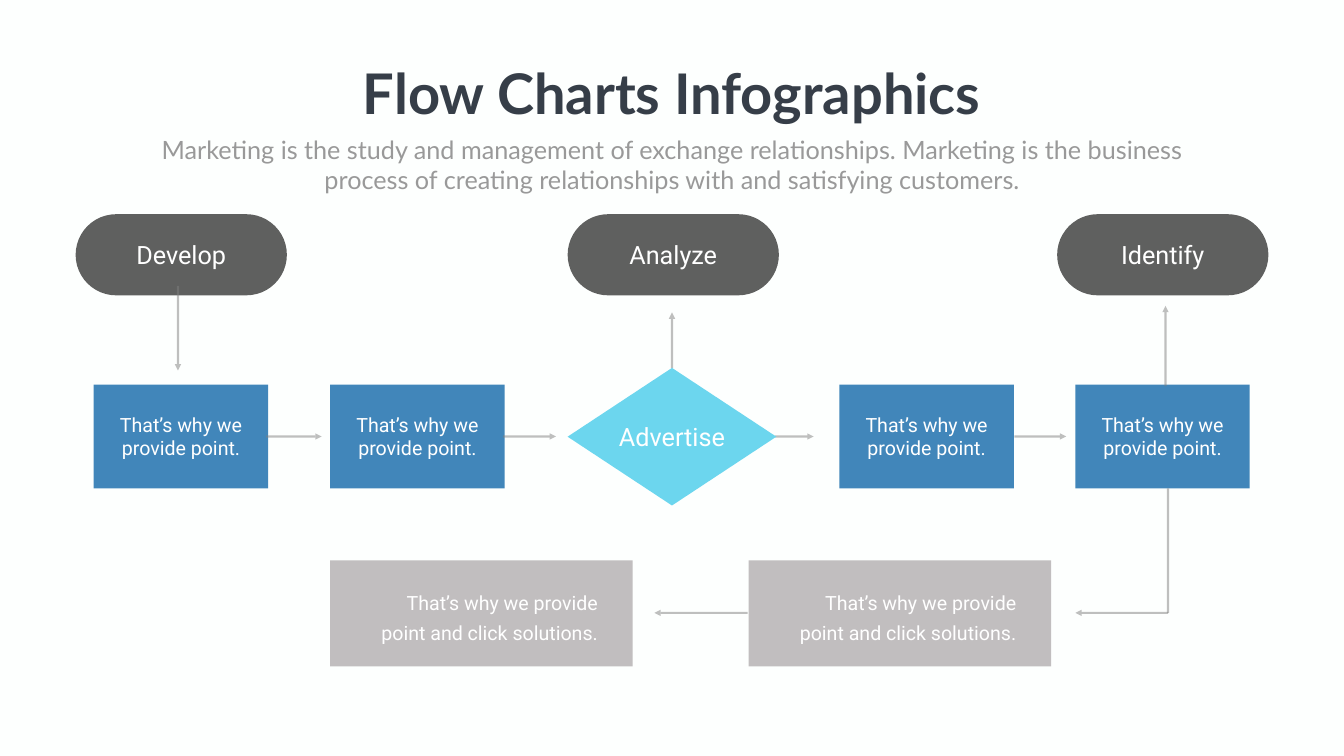
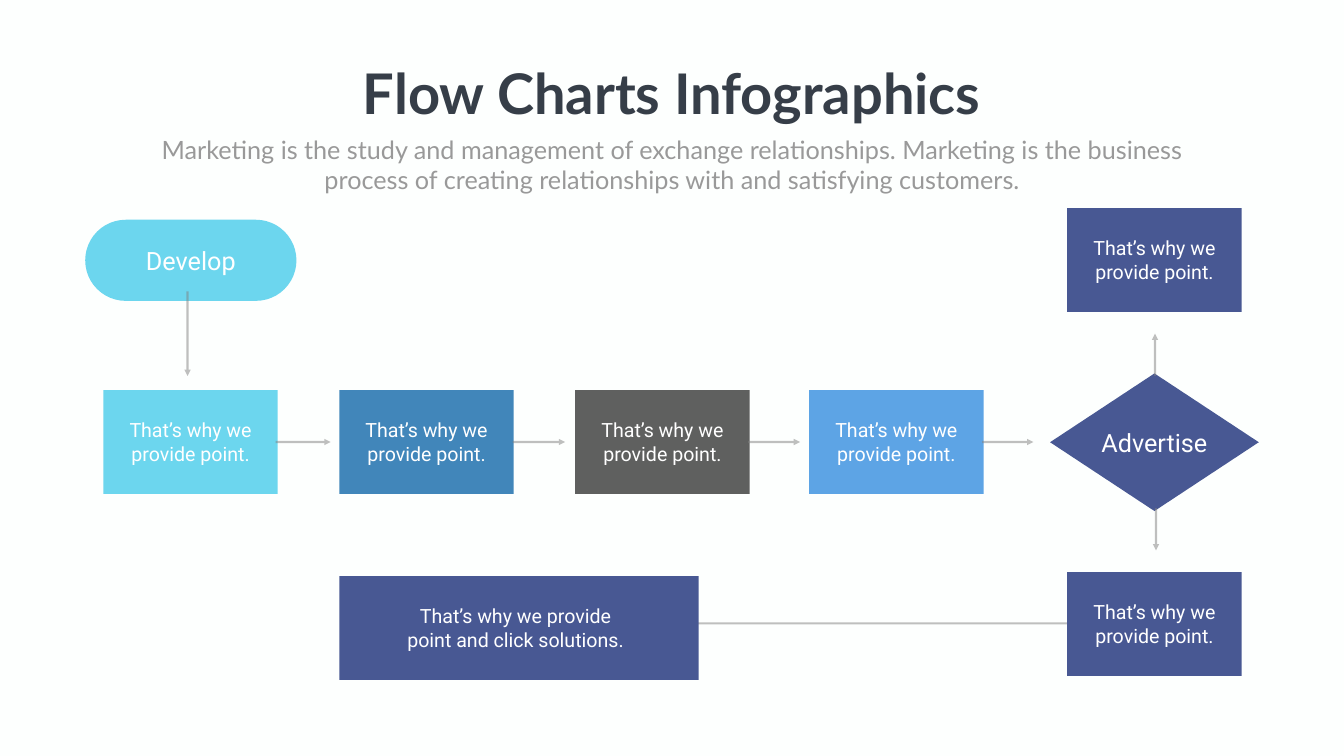
from dataclasses import dataclass

from lxml import etree
from pptx import Presentation
from pptx.dml.color import RGBColor
from pptx.enum.shapes import MSO_CONNECTOR as Link, MSO_SHAPE as Shape
from pptx.enum.text import MSO_AUTO_SIZE as AutoSize, PP_ALIGN as Align
from pptx.oxml.ns import qn
from pptx.util import Inches, Pt

TITLE = "Flow Charts Infographics"
SUBTITLE = ("Marketing is the study and management of exchange relationships. "
            "Marketing is the business process of creating relationships "
            "with and satisfying customers.")
STEP_TEXT = "That’s why we provide point."
NOTE_TEXT = "That’s why we provide point and click solutions."


@dataclass(frozen=True)
class Theme:
    paper: str = "FDFFFE"
    ink: str = "363E48"
    muted: str = "999999"
    white: str = "FFFFFF"
    line: str = "808080"
    cyan: str = "6CD6EE"
    blue: str = "4186BA"
    sky: str = "5DA4E5"
    indigo: str = "485893"
    dark: str = "5F605F"
    pale: str = "C1BEBF"
    heading_font: str = "Lato"
    label_font: str = "Roboto"
    title_size: int = 80
    large_size: int = 36
    small_size: int = 28
    line_width: int = 3
    line_alpha: int = 50000


THEME = Theme()


@dataclass(frozen=True)
class Node:
    """Outline and centred label area shared by all nodes of one sort."""
    shape: Shape
    size: tuple
    label: tuple
    text_size: int
    align: Align = Align.CENTER
    spacing: int | None = None
    shift: float = 0


PILL = Node(Shape.ROUNDED_RECTANGLE, (4.19, 1.61), (3.4, 0.71), THEME.large_size)
DECISION = Node(Shape.DIAMOND, (4.14, 2.73), (3.5, 0.71), THEME.large_size)
STEP = Node(Shape.RECTANGLE, (3.46, 2.06), (2.94, 1.04), THEME.small_size)
NOTE = Node(Shape.RECTANGLE, (6, 2.1), (4.81, 1.25), THEME.small_size,
            Align.RIGHT, 43)
WIDE_STEP = Node(Shape.RECTANGLE, (7.13, 2.06), (4.92, 1.04), THEME.small_size,
                 shift=-0.07)


class FlowDeck:
    def __init__(self, theme):
        self.theme = theme
        self.deck = Presentation()
        self.deck.slide_width, self.deck.slide_height = Inches(26.66), Inches(15)
        self.page = None

    def new_page(self):
        self.page = self.deck.slides.add_slide(self.deck.slide_layouts[6])
        self.fill(self.page.background, self.theme.paper)

    def fill(self, target, color):
        target.fill.solid()
        target.fill.fore_color.rgb = RGBColor.from_string(color)

    def text(self, group, area, words, size, color, font, bold=None,
             wrap=True, align=Align.CENTER, spacing=None):
        box = group.shapes.add_textbox(*map(Inches, area))
        frame = box.text_frame
        frame.word_wrap, frame.auto_size = wrap, AutoSize.SHAPE_TO_FIT_TEXT
        para = frame.paragraphs[0]
        para.alignment = align
        if spacing:
            para.line_spacing = Pt(spacing)
        span = para.add_run()
        span.text = words
        formats = {"name": font, "size": Pt(size), "bold": bold}
        for name, value in formats.items():
            setattr(span.font, name, value)
        span.font.color.rgb = RGBColor.from_string(color)

    def header(self):
        theme = self.theme
        group = self.page.shapes.add_group_shape()
        self.text(group, (6.98, 1.12, 12.7, 1.45), TITLE, theme.title_size,
                  theme.ink, theme.heading_font, bold=True, wrap=False)
        self.text(group, (2.92, 2.61, 20.82, 1.31), SUBTITLE, theme.large_size,
                  theme.muted, theme.heading_font)

    def node(self, kind, left, top, color, words=STEP_TEXT):
        group = self.page.shapes.add_group_shape()
        width, height = kind.size
        outline = group.shapes.add_shape(
            kind.shape, *map(Inches, (left, top, width, height)))
        outline.shadow.inherit = False
        self.fill(outline, color)
        outline.line.fill.background()
        if kind.shape == Shape.ROUNDED_RECTANGLE:
            outline.adjustments[0] = 0.5
        label_width, label_height = kind.label
        area = (left + (width - label_width) / 2 + kind.shift,
                top + (height - label_height) / 2, label_width, label_height)
        self.text(group, area, words, kind.text_size, self.theme.white,
                  self.theme.label_font, align=kind.align, spacing=kind.spacing)

    def link(self, start, end, arrow=True):
        connector = self.page.shapes.add_connector(
            Link.STRAIGHT, *map(Inches, (*start, *end)))
        line = connector.line
        line.width = Pt(self.theme.line_width)
        line.color.rgb = RGBColor.from_string(self.theme.line)
        properties = connector.element.spPr
        color = properties.find(".//" + qn("a:srgbClr"))
        etree.SubElement(color, qn("a:alpha"), val=str(self.theme.line_alpha))
        if arrow:
            etree.SubElement(properties.find(qn("a:ln")), qn("a:tailEnd"),
                             type="triangle")
        etree.SubElement(properties, qn("a:effectLst"))

    def links_across(self, y, spans):
        for start, end in spans:
            self.link((start, y), (end, y))

    def links_upright(self, spans):
        for x, start, end in spans:
            self.link((x, start), (x, end))


def build_branching_flow(flow):
    theme = flow.theme
    flow.new_page()
    flow.links_across(8.66, [(15.37, 16.14)])
    flow.node(DECISION, 11.26, 7.3, theme.cyan, "Advertise")
    for left in (1.86, 6.55, 16.65, 21.33):
        flow.node(STEP, left, 7.63, theme.blue)
    flow.links_across(8.66, [(5.28, 6.38), (9.98, 11.03), (20.12, 21.15)])
    for left, words in ((1.5, "Develop"), (11.26, "Analyze"), (20.97, "Identify")):
        flow.node(PILL, left, 4.25, theme.dark, words)
    flow.links_upright([(3.53, 5.67, 7.35), (13.33, 7.3, 6.2), (23.12, 7.66, 6.07)])
    flow.link((23.17, 12.16), (23.17, 9.69), arrow=False)
    for left in (14.85, 6.55):
        flow.node(NOTE, left, 11.12, theme.pale, NOTE_TEXT)
    flow.links_across(12.16, [(23.17, 21.33), (14.83, 12.98)])
    flow.header()


def build_decision_flow(flow):
    theme = flow.theme
    flow.new_page()
    flow.node(DECISION, 20.83, 7.41, theme.indigo, "Advertise")
    steps = ((2.05, theme.cyan), (6.73, theme.blue),
             (11.41, theme.dark), (16.05, theme.sky))
    for left, color in steps:
        flow.node(STEP, left, 7.74, color)
    flow.links_across(8.77, [(5.47, 6.56), (10.17, 11.21),
                             (14.84, 15.87), (19.48, 20.5)])
    flow.node(PILL, 1.69, 4.36, theme.cyan, "Develop")
    flow.links_upright([(3.72, 5.78, 7.46), (22.91, 7.46, 6.62),
                        (22.93, 10.08, 10.92)])
    flow.link((21.17, 12.37), (12.92, 12.37), arrow=False)
    for top in (4.13, 11.35):
        flow.node(STEP, 21.17, top, theme.indigo)
    flow.node(WIDE_STEP, 6.73, 11.43, theme.indigo, NOTE_TEXT)
    flow.header()


def main():
    flow = FlowDeck(THEME)
    build_branching_flow(flow)
    build_decision_flow(flow)
    flow.deck.save("out.pptx")


if __name__ == "__main__":
    main()
